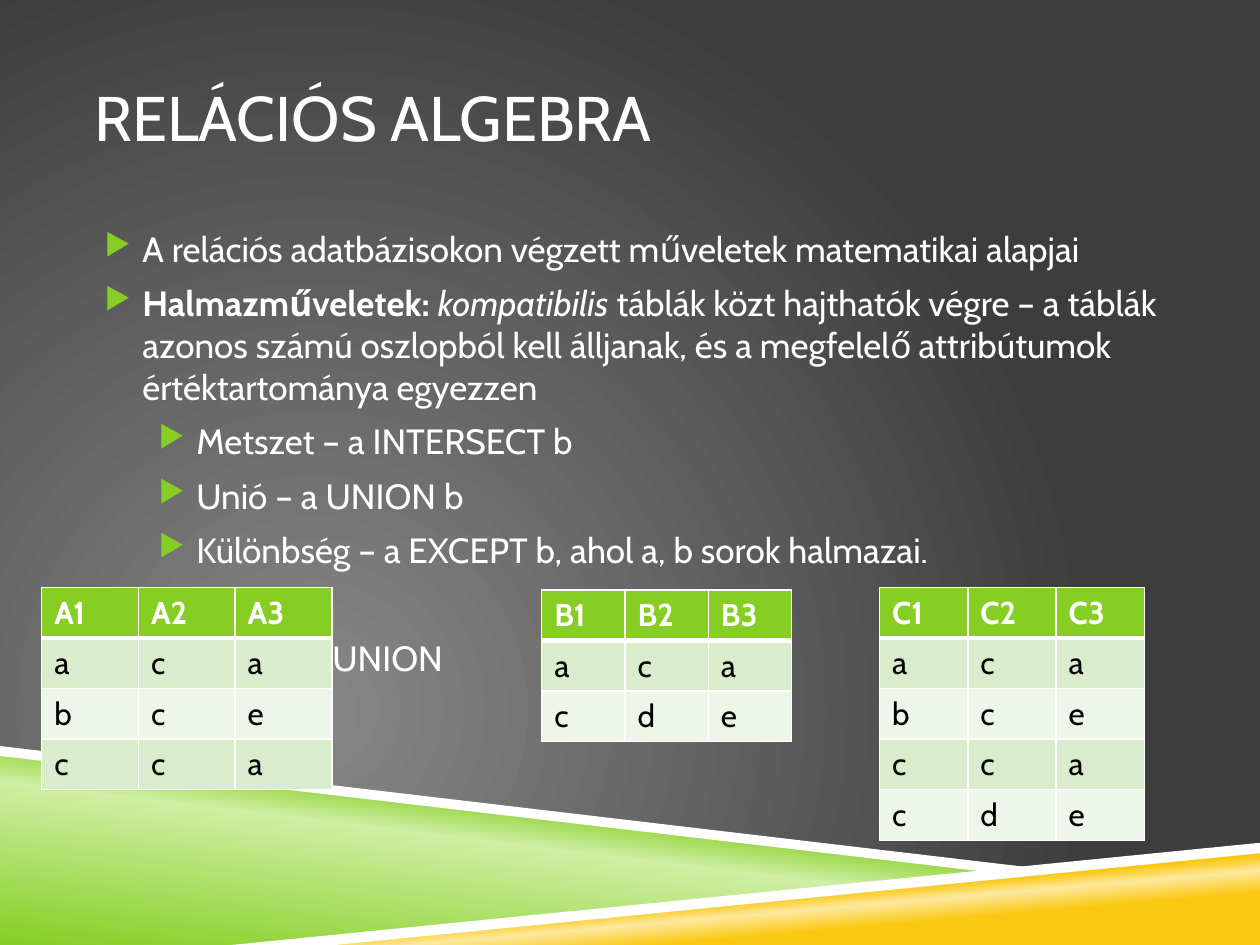
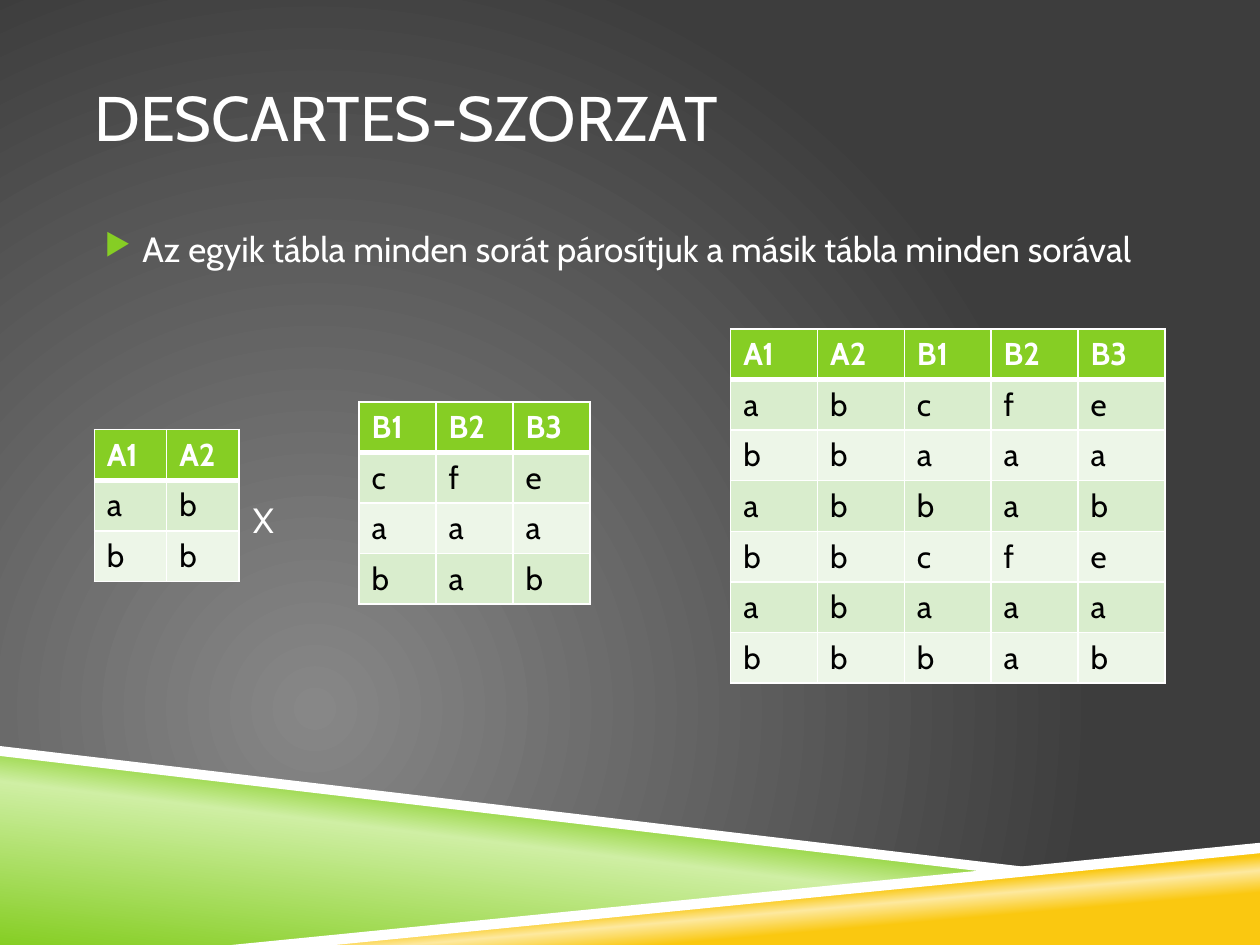
import pptx
import pptx.dml.color
import pptx.enum.text
import pptx.oxml
import pptx.oxml.ns
import pptx.util

Cm = pptx.util.Cm
Pt = pptx.util.Pt


def rgb(value):
    return pptx.dml.color.RGBColor.from_string(value)


def element(xml):
    tag, rest = xml.split(" ", 1)
    return pptx.oxml.parse_xml(f"{tag} {pptx.oxml.ns.nsdecls('a')} {rest}")


def gradient(stops, direction):
    stop_list = "".join(
        f'<a:gs pos="{position * 1000}"><a:srgbClr val="{color}"/></a:gs>'
        for position, color in stops
    )
    return element(
        f'<a:gradFill rotWithShape="1"><a:gsLst>{stop_list}</a:gsLst>{direction}</a:gradFill>'
    )


def linear(degrees):
    return f'<a:lin ang="{degrees * 60000}" scaled="0"/>'


class Deck:
    font = "Cabin"
    white = "FFFFFF"
    black = "000000"
    green = "86CE24"
    yellow = "FAC810"
    row_fills = ("D9EDCD", "EDF6E8")
    row_height = 1.02
    space_before = 7
    line_step = 31
    text_left = 1.9
    text_width = 21.6
    indents = (0.97, 2.06)
    hanging = -0.76

    def __init__(self):
        self.presentation = pptx.Presentation()
        self.presentation.slide_width = Cm(25.4)
        self.presentation.slide_height = Cm(19.05)
        self.slide = None

    def add_slide(self, title):
        self.slide = self.presentation.slides.add_slide(self.presentation.slide_layouts[6])
        self.background()
        self.band([(0, 15.16), (20.12, 17.58), (5.08, 19.05), (0, 19.05)],
                  gradient([(0, self.green), (52, "CFEFA4"), (66, self.green)], linear(277)))
        self.band([(5.03, 19.05), (25.4, 17.07), (25.4, 19.05)],
                  gradient([(28, self.yellow), (40, "FDE99F"), (48, self.yellow)], linear(265)))
        self.band([(0, 15.04), (0, 15.24), (20.07, 17.6), (21.13, 17.53)])
        self.band([(25.4, 16.99), (4.67, 19.05), (6.76, 19.05), (25.4, 17.2)])
        frame = self.text_frame(0.76, 3.18)
        frame.vertical_anchor = pptx.enum.text.MSO_ANCHOR.MIDDLE
        self.run(frame.paragraphs[0], title, 36)

    def background(self):
        fill = self.slide.background.fill
        fill.solid()
        properties = self.slide.element.cSld.find(".//" + pptx.oxml.ns.qn("p:bgPr"))
        direction = ('<a:path path="circle"><a:fillToRect l="50000" t="100000" '
                     'r="100000" b="50000"/></a:path>')
        properties.replace(properties[0], gradient([(0, "878787"), (100, "3D3D3D")], direction))

    def band(self, points, gradient_fill=None):
        corners = [(Cm(x), Cm(y)) for x, y in points]
        builder = self.slide.shapes.build_freeform(*corners[0])
        builder.add_line_segments(corners[1:], close=True)
        shape = builder.convert_to_shape()
        shape.shadow.inherit = False
        shape.line.fill.background()
        shape.fill.solid()
        shape.fill.fore_color.rgb = rgb(self.white)
        if gradient_fill is not None:
            properties = shape.element.spPr
            properties.replace(properties.find(pptx.oxml.ns.qn("a:solidFill")), gradient_fill)

    def text_frame(self, top, height):
        box = self.slide.shapes.add_textbox(
            Cm(self.text_left), Cm(top), Cm(self.text_width), Cm(height))
        frame = box.text_frame
        frame.word_wrap = True
        frame.margin_left = frame.margin_right = 0
        frame.margin_top = frame.margin_bottom = Cm(0.13)
        return frame

    def run(self, paragraph, text, size, color=white, bold=False, italic=False):
        run = paragraph.add_run()
        run.text = text
        run.font.name = self.font
        run.font.size = Pt(size)
        run.font.color.rgb = rgb(color)
        run.font.bold = bold
        run.font.italic = italic

    def body(self, items, operator, operator_indent, skipped_lines):
        frame = self.text_frame(4.45, 10.36)
        for index, (level, runs) in enumerate(items):
            paragraph = frame.paragraphs[0] if index == 0 else frame.add_paragraph()
            self.bullet(paragraph, level)
            for text, style in runs:
                self.run(paragraph, text, 20, **style)
        paragraph = frame.add_paragraph()
        paragraph.space_before = Pt(self.space_before + skipped_lines * self.line_step)
        paragraph._p.get_or_add_pPr().set("marL", str(Cm(operator_indent)))
        self.run(paragraph, operator, 20)

    def bullet(self, paragraph, level):
        paragraph.level = level
        paragraph.space_before = Pt(self.space_before)
        properties = paragraph._p.get_or_add_pPr()
        properties.set("marL", str(Cm(self.indents[level])))
        properties.set("indent", str(Cm(self.hanging)))
        properties.append(element(f'<a:buClr ><a:srgbClr val="{self.green}"/></a:buClr>'))
        properties.append(element('<a:buSzPct val="85000"/>'))
        properties.append(element('<a:buChar char="▶"/>'))

    def table(self, left, top, column_width, lines):
        rows = [line.split() for line in lines]
        columns = len(rows[0])
        table = self.slide.shapes.add_table(
            len(rows), columns, Cm(left), Cm(top),
            Cm(column_width * columns), Cm(self.row_height * len(rows))).table
        for column in table.columns:
            column.width = Cm(column_width)
        for row_index, values in enumerate(rows):
            table.rows[row_index].height = Cm(self.row_height)
            for column_index, value in enumerate(values):
                self.cell(table.cell(row_index, column_index), value, row_index)

    def cell(self, cell, value, row_index):
        header = row_index == 0
        widths = {"L": 1, "R": 1, "T": 3 if row_index == 1 else 1, "B": 3 if header else 1}
        properties = cell._tc.get_or_add_tcPr()
        for side, width in widths.items():
            properties.append(element(
                f'<a:ln{side} w="{Pt(width)}"><a:solidFill><a:srgbClr val="{self.white}"/>'
                f'</a:solidFill></a:ln{side}>'))
        cell.fill.solid()
        fill = self.green if header else self.row_fills[(row_index - 1) % 2]
        cell.fill.fore_color.rgb = rgb(fill)
        color = self.white if header else self.black
        self.run(cell.text_frame.paragraphs[0], value, 18, color, bold=header)


deck = Deck()

deck.add_slide("RELÁCIÓS ALGEBRA")
deck.body([
    (0, [("A relációs adatbázisokon végzett műveletek matematikai alapjai", {})]),
    (0, [("Halmazműveletek: ", {"bold": True}),
         ("kompatibilis ", {"italic": True}),
         ("táblák közt hajthatók végre – a táblák azonos számú oszlopból kell álljanak, "
          "és a megfelelő attribútumok értéktartománya egyezzen", {})]),
    (1, [("Metszet – a INTERSECT b", {})]),
    (1, [("Unió – a UNION b", {})]),
    (1, [("Különbség – a EXCEPT b, ahol a, b sorok halmazai.", {})]),
], "UNION", 4.8, 1)
deck.table(0.84, 11.84, 1.95, ["A1 A2 A3", "a c a", "b c e", "c c a"])
deck.table(10.92, 11.89, 1.68, ["B1 B2 B3", "a c a", "c d e"])
deck.table(17.73, 11.84, 1.78, ["C1 C2 C3", "a c a", "b c e", "c c a", "c d e"])

deck.add_slide("DESCARTES-SZORZAT")
deck.body([
    (0, [("Az egyik tábla minden sorát párosítjuk a másik tábla minden sorával", {})]),
], "X", 3.2, 4)
deck.table(1.9, 8.66, 1.46, ["A1 A2", "a b", "b b"])
deck.table(7.24, 8.1, 1.55, ["B1 B2 B3", "c f e", "a a a", "b a b"])
deck.table(14.73, 6.63, 1.75, [
    "A1 A2 B1 B2 B3", "a b c f e", "b b a a a", "a b b a b",
    "b b c f e", "a b a a a", "b b b a b",
])

deck.presentation.save("out.pptx")
